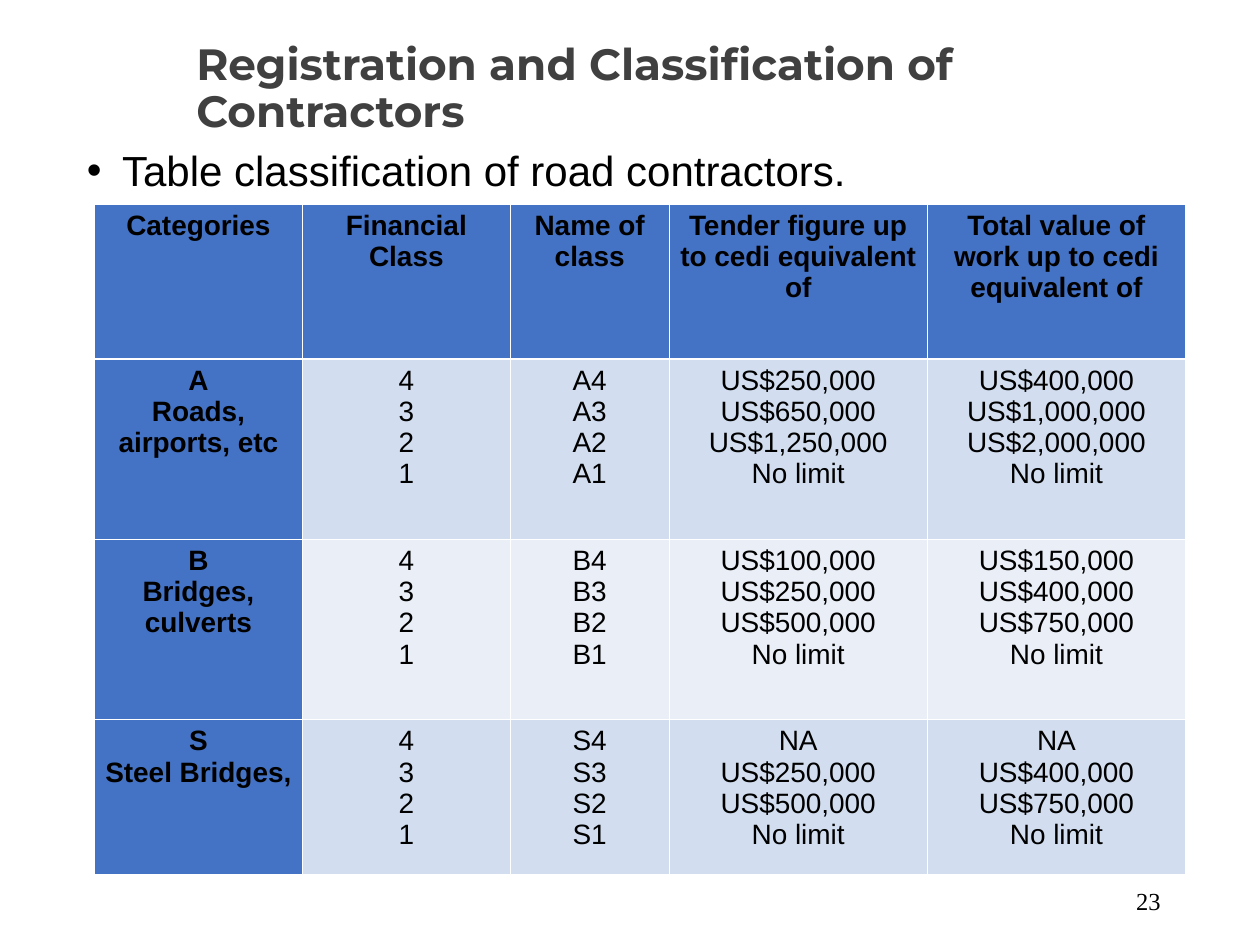
from dataclasses import dataclass

from lxml.etree import SubElement
from pptx import Presentation
from pptx.dml.color import RGBColor
from pptx.enum.text import MSO_ANCHOR, PP_ALIGN
from pptx.oxml.ns import qn
from pptx.util import Inches, Pt

BLACK, WHITE, GREY = "000000", "FFFFFF", "404040"
BLUE, BAND_DARK, BAND_LIGHT = "4472C4", "D2DEEF", "EAEFF7"
THIN, THICK = 0.45, 1.47
COLUMN_WIDTHS = (1.65, 1.65, 1.26, 2.05, 2.05)
ROW_HEIGHTS = (1.23, 1.43, 1.43, 1.23)
HEADINGS = (
    "Categories",
    "Financial Class",
    "Name of class",
    "Tender figure up to cedi equivalent of",
    "Total value of work up to cedi equivalent of",
)
FINANCIAL_CLASSES = ("4", "3", "2", "1")


@dataclass(frozen=True)
class Style:
    """Look of a run of text."""

    size: float
    font: str = "Arial"
    color: str = BLACK
    bold: bool = False


@dataclass(frozen=True)
class Category:
    """One contractor category with its limits for classes 4 to 1."""

    letter: str
    works: str
    tender_limits: tuple[str, ...]
    total_limits: tuple[str, ...]

    def columns(self) -> list[tuple[str, ...]]:
        """Return the lines of each table cell in the row."""
        class_names = tuple(self.letter + number for number in FINANCIAL_CLASSES)
        return [(self.letter, self.works), FINANCIAL_CLASSES, class_names,
                self.tender_limits, self.total_limits]


CATEGORIES = (
    Category("A", "Roads, airports, etc",
             ("US$250,000", "US$650,000", "US$1,250,000", "No limit"),
             ("US$400,000", "US$1,000,000", "US$2,000,000", "No limit")),
    Category("B", "Bridges, culverts",
             ("US$100,000", "US$250,000", "US$500,000", "No limit"),
             ("US$150,000", "US$400,000", "US$750,000", "No limit")),
    Category("S", "Steel Bridges,",
             ("NA", "US$250,000", "US$500,000", "No limit"),
             ("NA", "US$400,000", "US$750,000", "No limit")),
)


def rgb(color: str) -> RGBColor:
    """Turn a hex string into a colour."""
    return RGBColor.from_string(color)


def add_run(paragraph, text: str, style: Style) -> None:
    """Append a styled run to a paragraph."""
    run = paragraph.add_run()
    run.text = text
    run.font.size = Pt(style.size)
    run.font.name = style.font
    run.font.bold = style.bold
    run.font.color.rgb = rgb(style.color)


def add_text(slide, box: tuple[float, ...], text: str, style: Style,
             anchor=MSO_ANCHOR.TOP, align=PP_ALIGN.LEFT, spacing: float = 1.0):
    """Add a wrapped one-paragraph text box and return its text frame."""
    frame = slide.shapes.add_textbox(*map(Inches, box)).text_frame
    frame.word_wrap = True
    frame.vertical_anchor = anchor
    paragraph = frame.paragraphs[0]
    paragraph.alignment = align
    paragraph.line_spacing = spacing
    add_run(paragraph, text, style)
    return frame


def add_bullet(paragraph, indent: float) -> None:
    """Give a paragraph a black bullet with a hanging indent."""
    properties = paragraph._p.get_or_add_pPr()
    properties.set("marL", str(Inches(indent)))
    properties.set("indent", str(-Inches(indent)))
    color = SubElement(properties, qn("a:buClr"))
    SubElement(color, qn("a:srgbClr"), val=BLACK)
    SubElement(properties, qn("a:buFont"), typeface="Arial")
    SubElement(properties, qn("a:buChar"), char="•")


def set_borders(cell, top: float, bottom: float) -> None:
    """Draw white borders around a cell."""
    properties = cell._tc.get_or_add_tcPr()
    widths = {"L": THIN, "R": THIN, "T": top, "B": bottom}
    for position, (side, width) in enumerate(widths.items()):
        line = SubElement(properties, qn(f"a:ln{side}"), w=str(Pt(width)))
        fill = SubElement(line, qn("a:solidFill"))
        SubElement(fill, qn("a:srgbClr"), val=WHITE)
        properties.insert(position, line)


def fill_cell(cell, lines: tuple[str, ...], fill: str, bold: bool) -> None:
    """Write centred lines into a cell and colour it."""
    cell.margin_left = cell.margin_right = Inches(0.08)
    cell.margin_top = cell.margin_bottom = Inches(0.05)
    cell.fill.solid()
    cell.fill.fore_color.rgb = rgb(fill)
    frame = cell.text_frame
    for index, line in enumerate(lines):
        paragraph = frame.add_paragraph() if index else frame.paragraphs[0]
        paragraph.alignment = PP_ALIGN.CENTER
        add_run(paragraph, line, Style(16, bold=bold))


def add_classification(slide) -> None:
    """Add the table of contractor categories."""
    rows = [[(heading,) for heading in HEADINGS]]
    rows += [category.columns() for category in CATEGORIES]
    table = slide.shapes.add_table(
        len(rows), len(HEADINGS), Inches(0.75), Inches(1.62),
        Inches(sum(COLUMN_WIDTHS)), Inches(sum(ROW_HEIGHTS))).table
    table.horz_banding = False
    for column, width in zip(table.columns, COLUMN_WIDTHS):
        column.width = Inches(width)
    for row, height in zip(table.rows, ROW_HEIGHTS):
        row.height = Inches(height)
    for r, row_lines in enumerate(rows):
        band = BAND_DARK if r % 2 else BAND_LIGHT
        for c, lines in enumerate(row_lines):
            heading = r == 0 or c == 0
            cell = table.cell(r, c)
            fill_cell(cell, lines, BLUE if heading else band, heading)
            set_borders(cell, THICK if r == 1 else THIN, THICK if r == 0 else THIN)


def main() -> None:
    """Build the slide and save it."""
    presentation = Presentation()
    presentation.slide_width, presentation.slide_height = Inches(10), Inches(7.5)
    slide = presentation.slides.add_slide(presentation.slide_layouts[6])
    title = add_text(slide, (1.46, 0.25, 8.41, 0.92),
                     "Registration and Classification of Contractors",
                     Style(25, "Montserrat", GREY, True), MSO_ANCHOR.MIDDLE, spacing=0.9)
    title.margin_right = Inches(0.2)
    subtitle = add_text(slide, (0.59, 1.14, 9.28, 0.64),
                        "Table classification of road contractors.", Style(24), spacing=0.9)
    add_bullet(subtitle.paragraphs[0], 0.28)
    add_text(slide, (7.06, 6.95, 2.25, 0.4), "23", Style(14, "Times New Roman"),
             MSO_ANCHOR.MIDDLE, PP_ALIGN.RIGHT)
    add_classification(slide)
    presentation.save("out.pptx")


if __name__ == "__main__":
    main()
